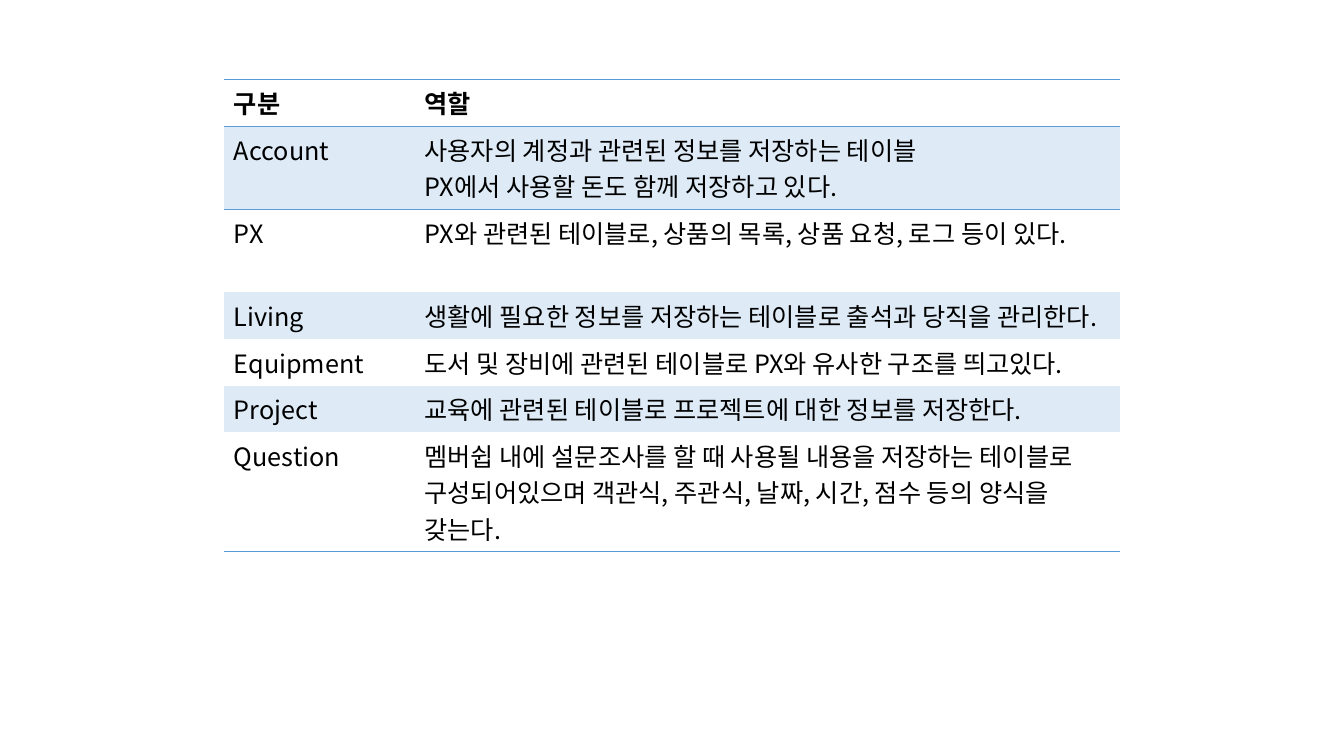
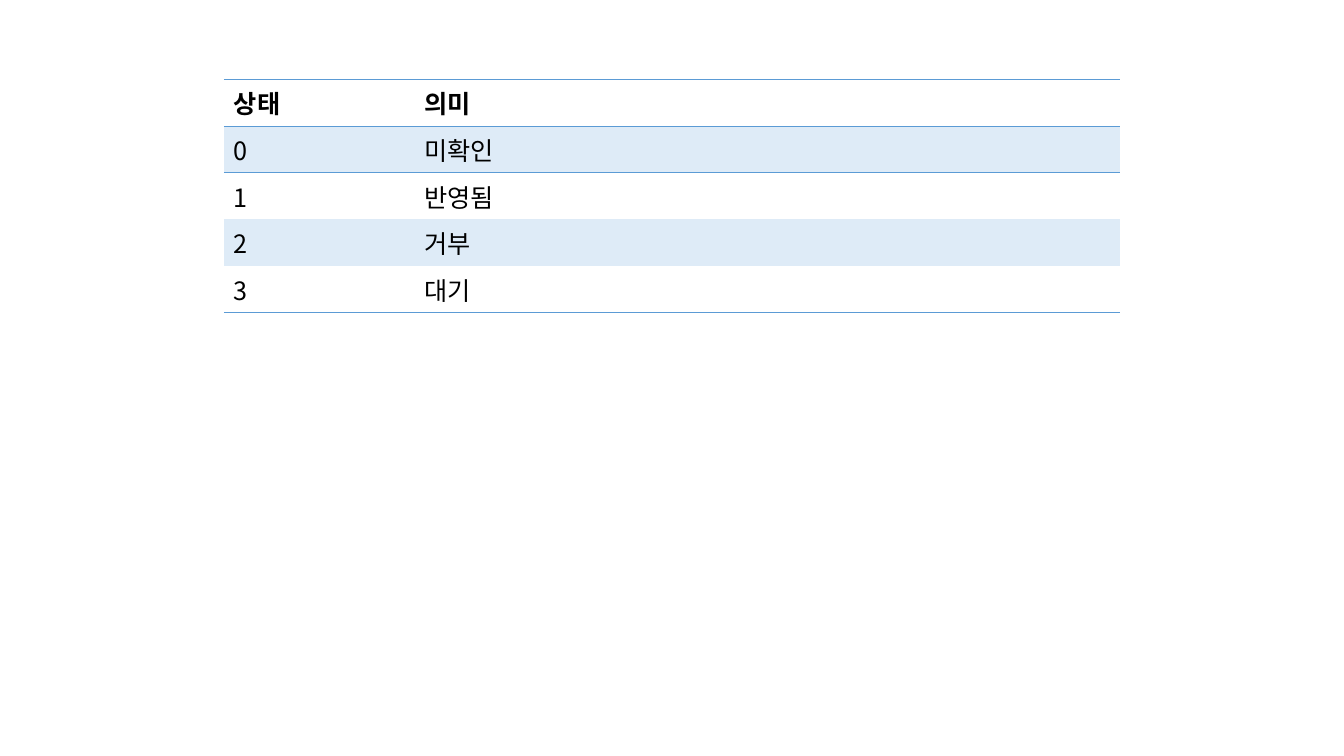
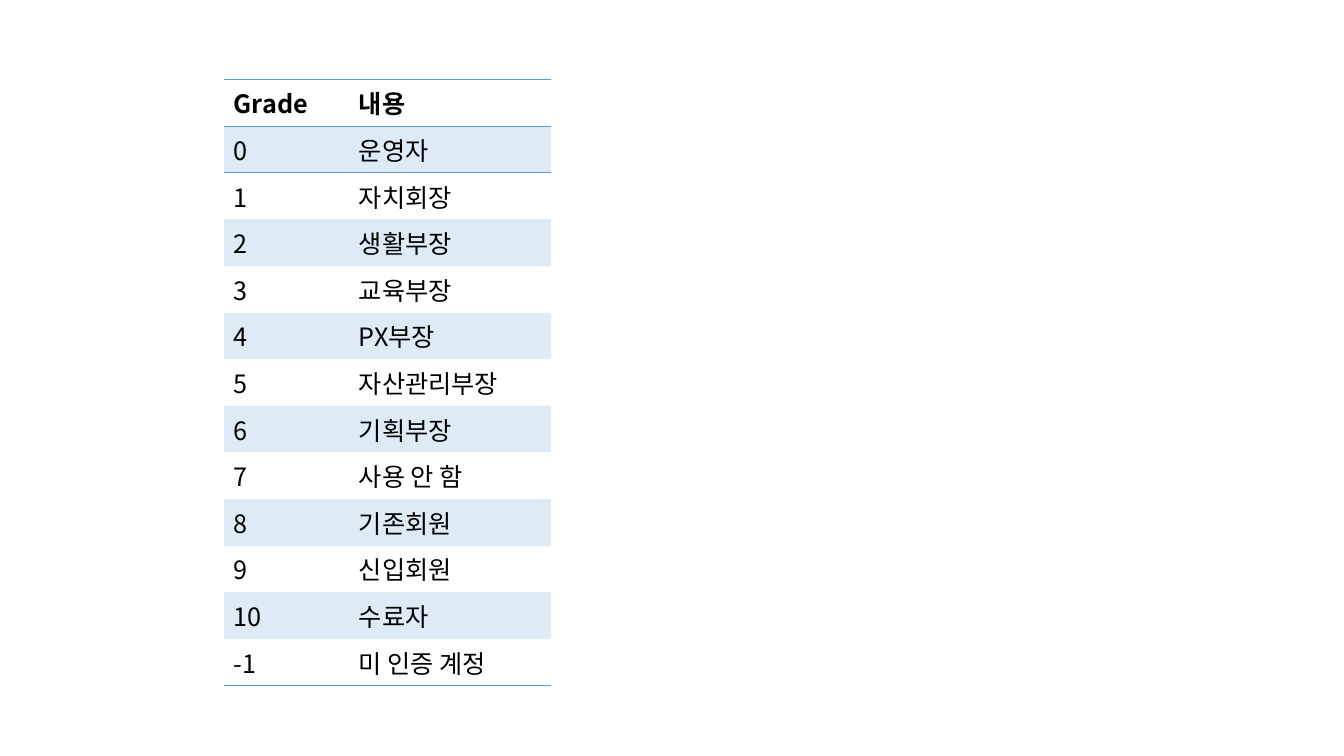
from lxml.etree import SubElement
from pptx import Presentation
from pptx.dml.color import RGBColor
from pptx.oxml.ns import qn
from pptx.util import Inches, Pt

FONT = "Noto Sans CJK KR"
TEXT = RGBColor(0x00, 0x00, 0x00)
RULE = RGBColor(0x5B, 0x9B, 0xD5)
BAND = RGBColor(0xDE, 0xEB, 0xF7)
PLAIN_STYLE = "{2D5ABB26-0587-4C30-8999-92F81FD0307C}"
LEFT, TOP, ROW_HEIGHT = 2.22, 0.79, 0.41

ROLES = [
    ("구분", "역할"),
    ("Account", "사용자의 계정과 관련된 정보를 저장하는 테이블\n"
                "PX에서 사용할 돈도 함께 저장하고 있다."),
    ("PX", "PX와 관련된 테이블로, 상품의 목록, 상품 요청, 로그 등이 있다."),
    ("Living", "생활에 필요한 정보를 저장하는 테이블로 출석과 당직을 관리한다."),
    ("Equipment", "도서 및 장비에 관련된 테이블로 PX와 유사한 구조를 띄고있다."),
    ("Project", "교육에 관련된 테이블로 프로젝트에 대한 정보를 저장한다."),
    ("Question", "멤버쉽 내에 설문조사를 할 때 사용될 내용을 저장하는 테이블로 "
                 "구성되어있으며 객관식, 주관식, 날짜, 시간, 점수 등의 양식을 갖는다."),
]
STATES = [("상태", "의미"), ("0", "미확인"), ("1", "반영됨"), ("2", "거부"), ("3", "대기")]
GRADES = [
    ("Grade", "내용"),
    ("0", "운영자"),
    ("1", "자치회장"),
    ("2", "생활부장"),
    ("3", "교육부장"),
    ("4", "PX부장"),
    ("5", "자산관리부장"),
    ("6", "기획부장"),
    ("7", "사용 안 함"),
    ("8", "기존회원"),
    ("9", "신입회원"),
    ("10", "수료자"),
    ("-1", "미 인증 계정"),
]


def add_rule(cell, side):
    ln = SubElement(cell._tc.get_or_add_tcPr(), qn(f"a:{side}"), w=str(Pt(1)))
    fill = SubElement(ln, qn("a:solidFill"))
    SubElement(fill, qn("a:srgbClr"), val=str(RULE))


def write_cell(cell, text, bold):
    tf = cell.text_frame
    tf.text = text
    for p in tf.paragraphs:
        for r in p.runs:
            r.font.name = FONT
            r.font.size = Pt(18)
            r.font.bold = bold
            r.font.color.rgb = TEXT
            SubElement(r.font._element, qn("a:ea"), typeface=FONT)


def add_ruled_table(slide, left, top, widths, rows):
    frame = slide.shapes.add_table(
        len(rows), len(widths), Inches(left), Inches(top),
        Inches(sum(widths)), Inches(ROW_HEIGHT * len(rows)))
    table = frame.table
    table.horz_banding = False
    table._tbl.tblPr.find(qn("a:tableStyleId")).text = PLAIN_STYLE
    for column, width in zip(table.columns, widths):
        column.width = Inches(width)
    for i, texts in enumerate(rows):
        table.rows[i].height = Inches(ROW_HEIGHT)
        for j, text in enumerate(texts):
            cell = table.cell(i, j)
            write_cell(cell, text, bold=i == 0)
            if i <= 1:
                add_rule(cell, "lnT")
            if i in (0, len(rows) - 1):
                add_rule(cell, "lnB")
            if i % 2:
                cell.fill.solid()
                cell.fill.fore_color.rgb = BAND
            else:
                cell.fill.background()


def main():
    prs = Presentation()
    prs.slide_width, prs.slide_height = Inches(13.33), Inches(7.5)
    for widths, rows in (((1.89, 7), ROLES), ((1.89, 7), STATES), ((1.24, 2.01), GRADES)):
        slide = prs.slides.add_slide(prs.slide_layouts[6])
        add_ruled_table(slide, LEFT, TOP, widths, rows)
    prs.save("out.pptx")


if __name__ == "__main__":
    main()
